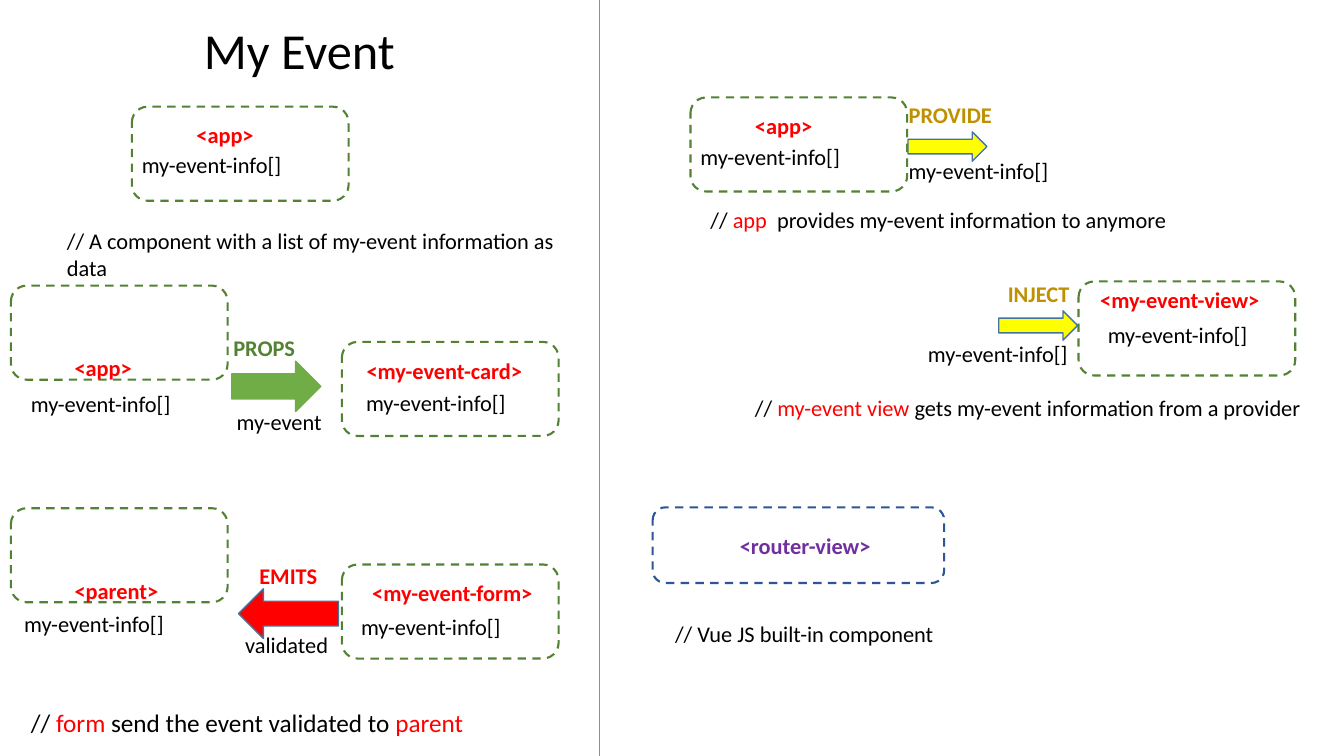
import dataclasses

import lxml.etree
import pptx
import pptx.dml.color
import pptx.enum.dml
import pptx.enum.shapes
import pptx.enum.text
import pptx.oxml.ns
import pptx.util

COLUMNS, ROWS = 160, 90
CELL = pptx.util.Inches(7.5) / ROWS
SHAPES = pptx.enum.shapes.MSO_SHAPE
LINE_HEIGHT = 4.4
CARD_SIZE = 25.8, 11.2
INFO = "my-event-info[]"
INFO_WIDTH = 25
COLORS = {
    "black": "000000", "red": "FF0000", "green": "70AD47", "dark green": "548235",
    "yellow": "FFFF00", "gold": "BF9000", "purple": "7030A0", "navy": "2F5597",
    "steel": "43739E", "blue": "5B9BD5",
}


@dataclasses.dataclass
class Box:
    """A rectangle in grid columns and rows."""
    left: float
    top: float
    width: float
    height: float = LINE_HEIGHT

    def inner(self, left, top, width, height=LINE_HEIGHT):
        """Return a box placed relative to this one's top left corner."""
        return Box(self.left + left, self.top + top, width, height)

    def lengths(self):
        return [round(value * CELL) for value in dataclasses.astuple(self)]


def color(name):
    return pptx.dml.color.RGBColor.from_string(COLORS[name])


def add_text(page, box, text, ink="black", size=16, bold=False, centered=False):
    """Add one paragraph; text is a string or a list of (string, color name)."""
    frame = page.shapes.add_textbox(*box.lengths()).text_frame
    frame.word_wrap = True
    frame.auto_size = pptx.enum.text.MSO_AUTO_SIZE.SHAPE_TO_FIT_TEXT
    para = frame.paragraphs[0]
    if centered:
        para.alignment = pptx.enum.text.PP_ALIGN.CENTER
    for words, name in [(text, ink)] if isinstance(text, str) else text:
        span = para.add_run()
        span.text = words
        span.font.name = "Calibri"
        span.font.size = pptx.util.Pt(size)
        span.font.bold = bold
        span.font.color.rgb = color(name)


def add_outlined(page, box, kind, line, width, fill=None):
    shape = page.shapes.add_shape(kind, *box.lengths())
    shape.shadow.inherit = False
    if fill:
        shape.fill.solid()
        shape.fill.fore_color.rgb = color(fill)
    else:
        shape.fill.background()
    shape.line.color.rgb = color(line)
    shape.line.width = pptx.util.Pt(width)
    return shape


def add_card(page, box, tag, tag_at, info_at=None, line="dark green", ink="red",
             centered=False):
    """Dashed component; tag_at is (left, top, width), info_at is (left, top)."""
    card = add_outlined(page, box, SHAPES.ROUNDED_RECTANGLE, line, 1.5)
    card.line.dash_style = pptx.enum.dml.MSO_LINE.DASH
    add_text(page, box.inner(*tag_at), tag, ink=ink, bold=True, centered=centered)
    if info_at:
        add_text(page, box.inner(*info_at, INFO_WIDTH), INFO)


def add_flow(page, box, label, label_at, ink, payload, payload_at, fill="yellow",
             line="steel", kind=SHAPES.RIGHT_ARROW):
    """Block arrow with a bold label above and its payload below."""
    add_outlined(page, box, kind, line, 1, fill)
    add_text(page, box.inner(*label_at), label, ink=ink, bold=True)
    add_text(page, box.inner(*payload_at), payload)


def add_divider(page, panel):
    """Draw the line along the right side of a panel."""
    left, top, width, height = panel.lengths()
    divider = page.shapes.add_connector(
        pptx.enum.shapes.MSO_CONNECTOR.STRAIGHT,
        left + width, top, left + width, top + height)
    divider.line.color.rgb = color("blue")
    divider.line.width = pptx.util.Pt(0.5)
    properties = divider._element.spPr
    lxml.etree.SubElement(properties, pptx.oxml.ns.qn("a:effectLst"))


def add_event_panel(page, panel):
    """Left side: component data, props and emits."""
    add_text(page, panel.inner(0, 1.7, panel.width, 8.5), "My Event", size=36,
             centered=True)
    add_card(page, panel.inner(15.7, 12.7, *CARD_SIZE), "<app>", (6.5, 1.1, 10), (0, 4.7))
    add_text(page, panel.inner(6.8, 26.5, 60.5, 7.7),
             "// A component with a list of my-event information as data")

    add_card(page, panel.inner(1.3, 34, *CARD_SIZE), "<app>", (6.4, 7.6, 10), (1.2, 11.8))
    add_card(page, panel.inner(40.7, 40.7, *CARD_SIZE), "<my-event-card>",
             (-0.7, 1.2, 25.8), (1.7, 5), centered=True)
    add_flow(page, panel.inner(27.6, 43, 10.6, 6), "PROPS", (-1, -3.8, 14.9), "dark green",
             "my-event", (-0.6, 5, 13.4), fill="green", line="green")

    add_card(page, panel.inner(1.3, 60.5, *CARD_SIZE), "<parent>", (6.4, 7.6, 13),
             (0.4, 11.5))
    add_card(page, panel.inner(40.7, 67.2, *CARD_SIZE), "<my-event-form>",
             (0, 1.1, 26.3), (1.1, 5.2), centered=True)
    add_flow(page, panel.inner(28.4, 70.1, 11.9, 5.9), "EMITS", (1.3, -3.8, 14.9), "red",
             "validated", (-0.4, 4.4, 13.4), fill="red", kind=SHAPES.LEFT_ARROW)
    add_text(page, panel.inner(2.5, 83.6, 60.8, 4.8), [
        ("// ", "black"), ("form", "red"), (" send the event validated to ", "black"),
        ("parent", "red")], size=18)


def add_provider_panel(page, panel):
    """Right side: provide, inject and the router view."""
    add_card(page, panel.inner(10.9, 11.6, *CARD_SIZE), "<app>", (6.5, 1.1, 10), (0, 4.8))
    add_flow(page, panel.inner(36.8, 15.7, 9.4, 3.5), "PROVIDE", (-1.1, -4.2, 14.9), "gold",
             INFO, (-1.1, 2.4, INFO_WIDTH))
    add_text(page, panel.inner(12.1, 24, 57.5), [
        ("// ", "black"), ("app  ", "red"),
        ("provides my-event information to anymore", "black")])

    add_card(page, panel.inner(57.1, 33.5, *CARD_SIZE), "<my-event-view>",
             (1.4, 0, 23.3), (2.3, 4.1))
    add_flow(page, panel.inner(47.6, 37, 9.4, 3.5), "INJECT", (-0.1, -4.2, 12), "gold",
             INFO, (-9.6, 2.9, INFO_WIDTH))
    add_text(page, panel.inner(17.4, 46.3, 70.4), [
        ("// ", "black"), ("my-event view ", "red"),
        ("gets my-event information from a provider", "black")])

    add_card(page, panel.inner(6.4, 60.4, 34.7, 9), "<router-view>", (9.2, 2.4, 18.7),
             line="navy", ink="purple")
    add_text(page, panel.inner(7.9, 73.2, 38.2), "// Vue JS built-in component")


def main():
    deck = pptx.Presentation()
    deck.slide_width = round(COLUMNS * CELL)
    deck.slide_height = round(ROWS * CELL)
    page = deck.slides.add_slide(deck.slide_layouts[6])
    event_panel = Box(0, 0, 71.3, ROWS)
    provider_panel = Box(event_panel.width, 0, COLUMNS - event_panel.width, ROWS)
    add_divider(page, event_panel)
    add_event_panel(page, event_panel)
    add_provider_panel(page, provider_panel)
    deck.save("out.pptx")


if __name__ == "__main__":
    main()
